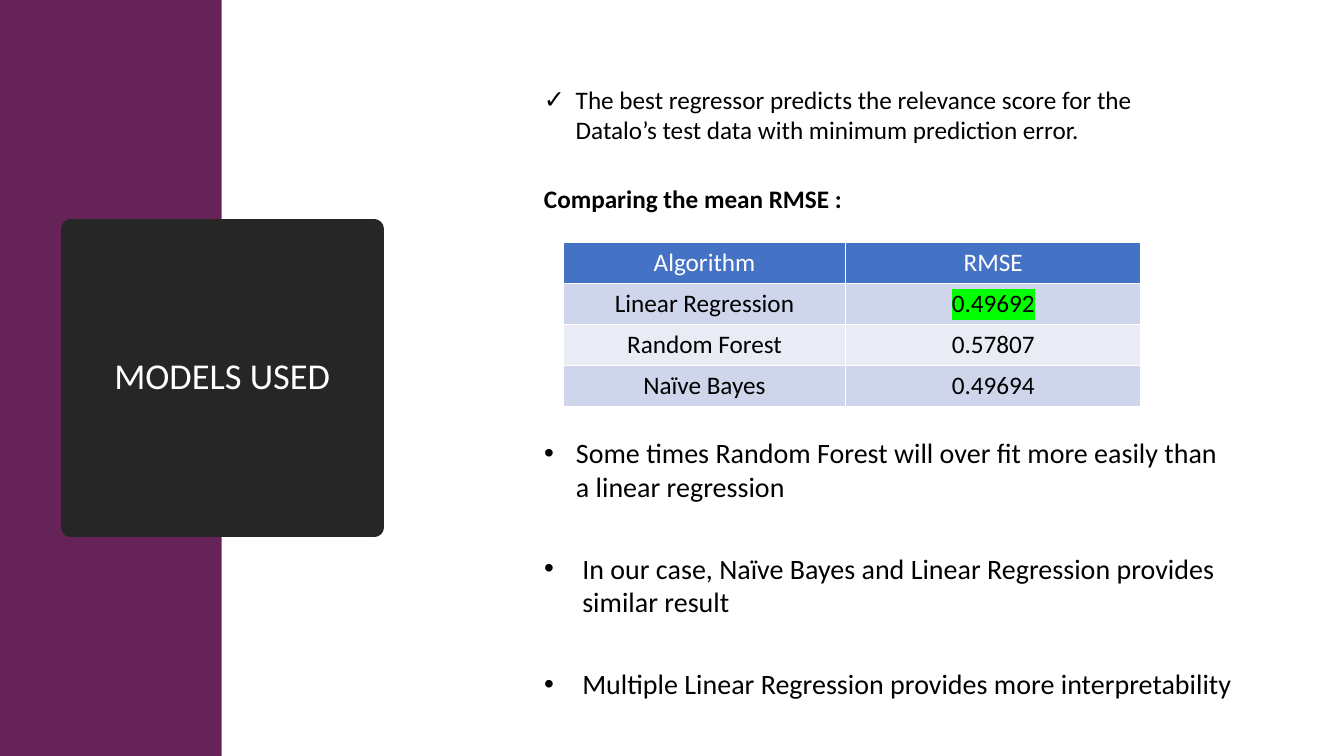
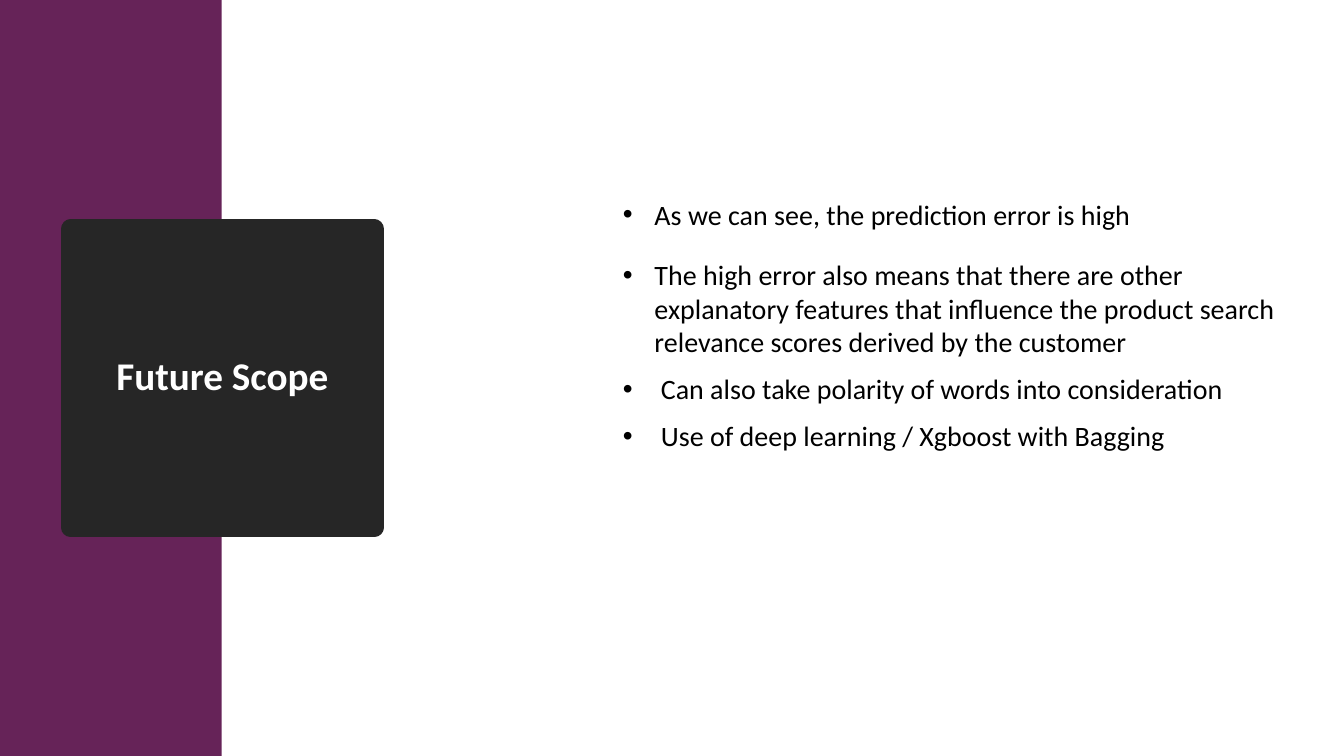
from lxml.etree import SubElement
from pptx import Presentation
from pptx.dml.color import RGBColor
from pptx.enum.shapes import MSO_SHAPE
from pptx.enum.text import MSO_ANCHOR, MSO_AUTO_SIZE, PP_ALIGN
from pptx.oxml.ns import qn
from pptx.util import Cm, Pt

COLORS = {
    "band": "662358",
    "box": "262626",
    "white": "FFFFFF",
    "text": "000000",
    "head": "4472C4",
    "odd": "CFD5EA",
    "even": "E9EBF5",
    "mark": "00FF00",
}
WIDE, HIGH = 33.87, 19.05


def color(name):
    return RGBColor.from_string(COLORS[name])


def bullet(para, char, indent):
    """Give the paragraph a hanging bullet; indent is in cm."""
    props = para._p.get_or_add_pPr()
    props.set("marL", str(Cm(indent)))
    props.set("indent", str(-Cm(indent)))
    SubElement(props, qn("a:buFont")).set("typeface", "Arial")
    SubElement(props, qn("a:buChar")).set("char", char)


class Deck:
    font = "Calibri"

    def __init__(self):
        self.prs = Presentation()
        self.prs.slide_width, self.prs.slide_height = Cm(WIDE), Cm(HIGH)
        self.slide = None

    def style(self, para, size, ink="text", bold=False):
        font = para.font
        font.name, font.size, font.bold = self.font, Pt(size), bold
        font.color.rgb = color(ink)

    def place(self, shape, left, top, width, height):
        shape.left, shape.top = Cm(left), Cm(top)
        shape.width, shape.height = Cm(width), Cm(height)

    def start(self, title, size, bold=False):
        """Add a slide with the side band and the title box."""
        self.slide = self.prs.slides.add_slide(self.prs.slide_layouts[1])
        self.band()
        box = self.slide.shapes.title
        self.place(box, 1.78, 5.77, 7.65, 7.52)
        box.fill.solid()
        box.fill.fore_color.rgb = color("box")
        box.line.color.rgb = color("box")
        box.line.width = Pt(13.75)
        SubElement(box.line._get_or_add_ln(), qn("a:round"))
        frame = box.text_frame
        frame.text = title
        frame.auto_size = MSO_AUTO_SIZE.NONE
        frame.vertical_anchor = MSO_ANCHOR.MIDDLE
        para = frame.paragraphs[0]
        para.alignment = PP_ALIGN.CENTER
        para.line_spacing = 0.9
        self.style(para, size, "white", bold)

    def band(self):
        shapes = self.slide.shapes
        band = shapes.add_shape(MSO_SHAPE.RECTANGLE, 0, 0, Cm(5.59), Cm(HIGH))
        band.shadow.inherit = False
        band.fill.solid()
        band.fill.fore_color.rgb = color("band")
        band.line.fill.background()
        shapes._spTree.insert(2, band._element)  # behind the title

    def text(self, words, left, top, width, height, bold=False, char=None):
        box = self.slide.shapes.add_textbox(
            Cm(left), Cm(top), Cm(width), Cm(height))
        frame = box.text_frame
        frame.word_wrap = True
        frame.text = words
        para = frame.paragraphs[0]
        if char:
            bullet(para, char, 0.8)
        self.style(para, 18, bold=bold)

    def points(self, items, left, top, width, height):
        """Fill the body; items are (words, indent in cm, gap above in pt)."""
        body = self.slide.placeholders[1]
        self.place(body, left, top, width, height)
        frame = body.text_frame
        frame.text = "\n".join(words for words, _, _ in items)
        frame.auto_size = MSO_AUTO_SIZE.NONE
        for para, (_, indent, gap) in zip(frame.paragraphs, items):
            bullet(para, "•", indent)
            para.space_before = Pt(gap)
            self.style(para, 20)

    def table(self, rows, left, top, widths, height, best):
        """Draw rows under a header; the cell whose text is best is marked."""
        grid = self.slide.shapes.add_table(
            len(rows), len(widths), Cm(left), Cm(top),
            Cm(sum(widths)), Cm(height * len(rows))).table
        for col, width in zip(grid.columns, widths):
            col.width = Cm(width)
        for r, row in enumerate(rows):
            fill = "head" if r == 0 else "odd" if r % 2 else "even"
            for c, words in enumerate(row):
                cell = grid.cell(r, c)
                cell.text = words
                cell.fill.solid()
                cell.fill.fore_color.rgb = color(fill)
                para = cell.text_frame.paragraphs[0]
                para.alignment = PP_ALIGN.CENTER
                self.style(para, 18, "text" if r else "white")
                if words == best:
                    self.mark(para.runs[0])

    def mark(self, run):
        """Highlight the run."""
        light = SubElement(run._r.get_or_add_rPr(), qn("a:highlight"))
        SubElement(light, qn("a:srgbClr")).set("val", COLORS["mark"])


def main():
    deck = Deck()

    deck.start("MODELS USED", 26)
    deck.text("The best regressor predicts the relevance score for the "
              "Datalo’s test data with minimum prediction error.",
              13.46, 2, 16.94, 1.8, char="✓")
    deck.text("Comparing the mean RMSE :", 13.46, 4.5, 8.5, 1.02, bold=True)
    deck.table([("Algorithm", "RMSE"),
                ("Linear Regression", "0.49692"),
                ("Random Forest", "0.57807"),
                ("Naïve Bayes", "0.49694")],
               14.2, 6.12, (7.11, 7.44), 1.03, best="0.49692")
    deck.points([
        ("Some times Random Forest will over fit more easily than "
         "a linear regression", 0.8, 0),
        ("In our case, Naïve Bayes and Linear Regression provides "
         "similar result", 0.96, 34.5),
        ("Multiple Linear Regression provides more interpretability",
         0.96, 34.5),
    ], 13.46, 10.85, 17.88, 7)

    deck.start("Future Scope", 28, bold=True)
    deck.points([
        ("As we can see, the prediction error is high", 0.8, 0),
        ("The high error also means that there are other explanatory "
         "features that influence the product search relevance scores "
         "derived by the customer", 0.8, 19),
        ("Can also take polarity of words into consideration", 0.96, 9.5),
        ("Use of deep learning / Xgboost with Bagging", 0.96, 9.5),
    ], 15.44, 4.85, 16.94, 6.8)

    deck.prs.save("out.pptx")


if __name__ == "__main__":
    main()
